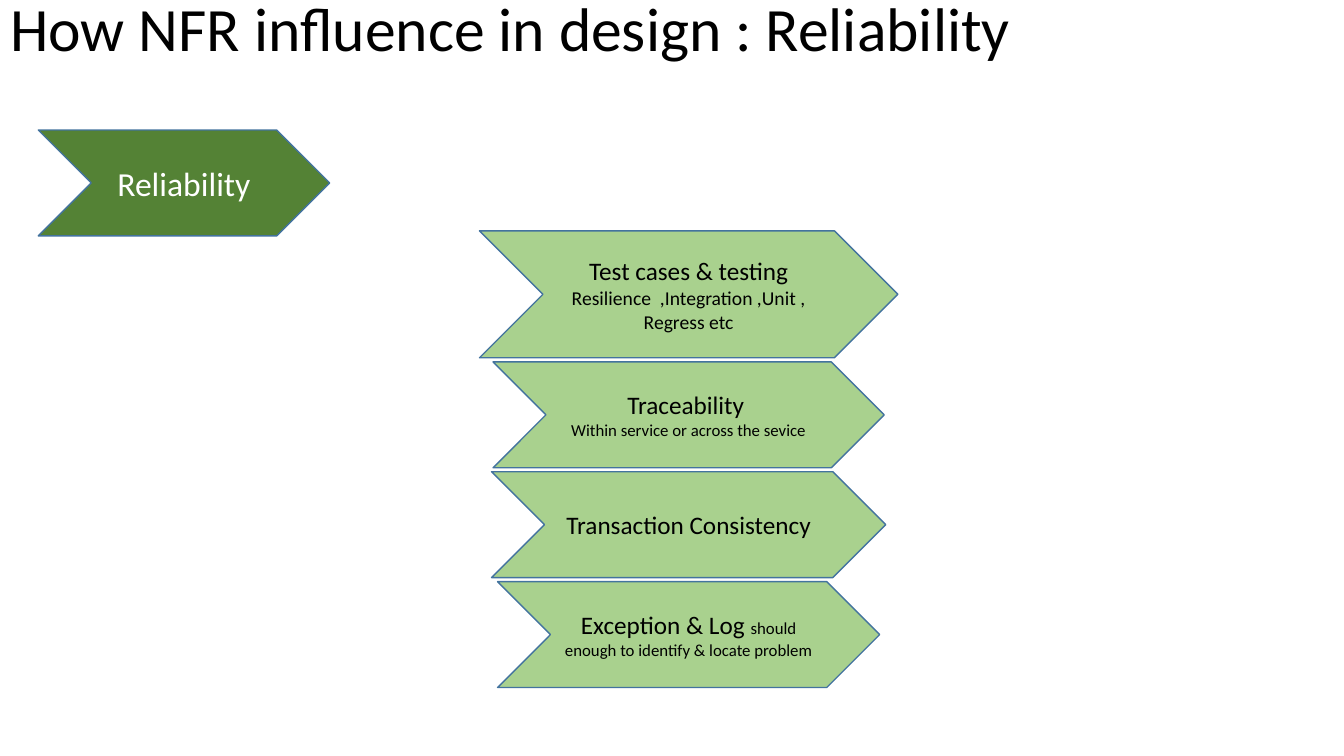
"""Build the slide on how reliability shapes a design."""
from pptx import Presentation
from pptx import util as u
from pptx.dml.color import RGBColor
from pptx.enum import shapes, text

INK = {"dark": "548235", "light": "A9D18E", "edge": "43739E",
       "black": "000000", "white": "FFFFFF"}
MID, ROW = 6.83, 1.05


def write(para, runs, ink, align):
    para.alignment = align
    for words, size in runs:
        run = para.add_run()
        run.text = words
        run.font.name = "Calibri"
        run.font.size = u.Pt(size)
        run.font.color.rgb = RGBColor.from_string(INK[ink])


def arrow(box, paras, fill, ink):
    shape = slide.shapes.add_shape(
        shapes.MSO_SHAPE.CHEVRON, *[u.Inches(n) for n in box])
    shape.shadow.inherit = False
    shape.fill.solid()
    shape.fill.fore_color.rgb = RGBColor.from_string(INK[fill])
    shape.line.color.rgb = RGBColor.from_string(INK["edge"])
    shape.line.width = u.Pt(1)
    frame = shape.text_frame
    frame.word_wrap = True
    frame.vertical_anchor = text.MSO_ANCHOR.MIDDLE
    for i, runs in enumerate(paras):
        para = frame.add_paragraph() if i else frame.paragraphs[0]
        write(para, runs, ink, text.PP_ALIGN.CENTER)


deck = Presentation()
deck.slide_width, deck.slide_height = u.Inches(13.33), u.Inches(7.5)
slide = deck.slides.add_slide(deck.slide_layouts[5])

title = slide.shapes.title
title.left, title.top = u.Inches(0), u.Inches(-0.07)
title.width, title.height = u.Inches(11.5), u.Inches(0.77)
frame = title.text_frame
frame.word_wrap = True
frame.auto_size = text.MSO_AUTO_SIZE.NONE
frame.vertical_anchor = text.MSO_ANCHOR.MIDDLE
head = frame.paragraphs[0]
head.line_spacing = 0.9
write(head, [("How NFR influence in design : Reliability", 44)],
      "black", text.PP_ALIGN.LEFT)

arrow((0.38, 1.29, 2.89, ROW), [[("Reliability", 24)]], "dark", "white")

steps = [
    (4.15, 1.26, [[("Test cases & testing", 18)],
                  [("Resilience  ,Integration ,Unit , Regress etc", 14)]]),
    (3.88, ROW, [[("Traceability ", 18)],
                 [("Within service or across the sevice", 12)]]),
    (3.91, ROW, [[("Transaction Consistency", 18)]]),
    (3.79, ROW, [[("Exception & Log ", 18),
                  ("should enough to identify & locate problem", 12)]]),
]
top, gap = 2.29, 0.04
for wide, high, paras in steps:
    arrow((MID - wide / 2, top, wide, high), paras, "light", "black")
    top += high + gap

deck.save("out.pptx")
